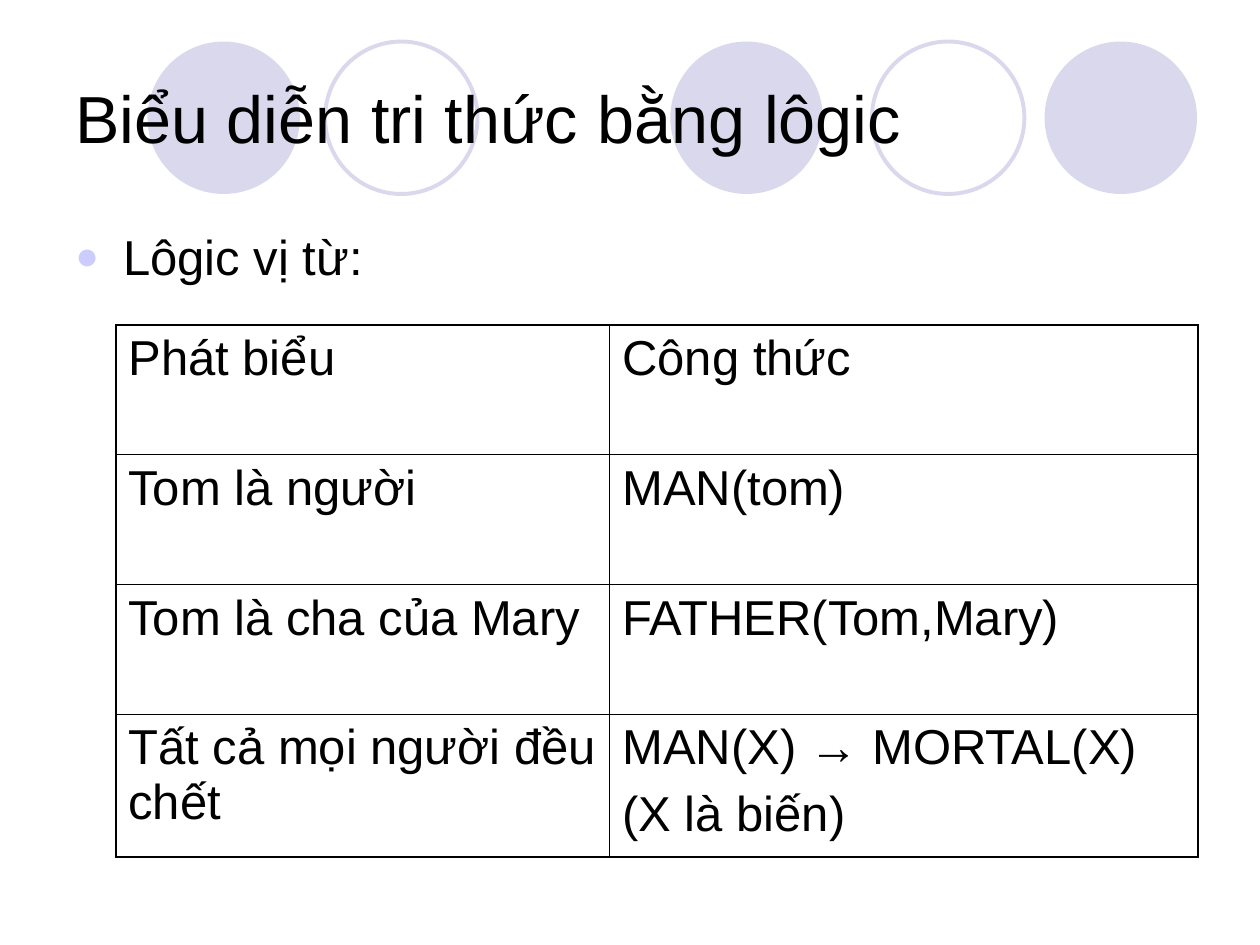
from dataclasses import dataclass

from lxml import etree
from pptx import Presentation
from pptx.dml.color import RGBColor
from pptx.enum import shapes, text
from pptx.oxml import ns
from pptx.util import Inches, Pt

COLORS = {"text": "000000", "circle": "D9D8EC", "bullet": "CCCCFF", "border": "000000"}
FONT = "Arial"
BODY_SIZE = 28
SPACE_BEFORE = 7
OUTER_BORDER, INNER_BORDER = 1.08, 0.45
COLUMN_WIDTHS = (3.92, 4.67)
ROW_HEIGHTS = (1.03, 1.03, 1.03, 1.13)
STATEMENTS = (
    ("Phát biểu", "Công thức"),
    ("Tom là người", "MAN(tom)"),
    ("Tom là cha của Mary", "FATHER(Tom,Mary)"),
    ("Tất cả mọi người đều chết", "MAN(X) → MORTAL(X)\n(X là biến)"),
)


@dataclass
class Circle:
    left: float
    filled: bool
    top: float = 0.33
    size: float = 1.21


CIRCLES = (
    Circle(5.32, True),
    Circle(8.29, True),
    Circle(1.17, True),
    Circle(6.92, False),
    Circle(2.58, False),
)


def color(name: str) -> RGBColor:
    return RGBColor.from_string(COLORS[name])


def style_paragraph(paragraph, size: float) -> None:
    paragraph.font.name = FONT
    paragraph.font.size = Pt(size)
    paragraph.font.color.rgb = color("text")


def add_circle(slide, circle: Circle) -> None:
    shape = slide.shapes.add_shape(
        shapes.MSO_SHAPE.OVAL, Inches(circle.left), Inches(circle.top),
        Inches(circle.size), Inches(circle.size))
    shape.shadow.inherit = False
    if circle.filled:
        shape.fill.solid()
        shape.fill.fore_color.rgb = color("circle")
        shape.line.fill.background()
    else:
        shape.fill.background()
        shape.line.color.rgb = color("circle")
        shape.line.width = Pt(2.25)


def add_text(slide, box: tuple, content: str, size: float, anchor):
    """Add a wrapped text box at (left, top, width, height) and return its paragraph."""
    frame = slide.shapes.add_textbox(*map(Inches, box)).text_frame
    frame.word_wrap = True
    frame.vertical_anchor = anchor
    paragraph = frame.paragraphs[0]
    paragraph.text = content
    style_paragraph(paragraph, size)
    return paragraph


def add_bullet(paragraph) -> None:
    properties = paragraph._p.get_or_add_pPr()
    properties.set("marL", str(Inches(0.38)))
    properties.set("indent", str(-Inches(0.38)))
    bullet_color = etree.SubElement(properties, ns.qn("a:buClr"))
    etree.SubElement(bullet_color, ns.qn("a:srgbClr"), val=COLORS["bullet"])
    etree.SubElement(properties, ns.qn("a:buSzPct"), val="80000")
    etree.SubElement(properties, ns.qn("a:buFont"), typeface=FONT)
    etree.SubElement(properties, ns.qn("a:buChar"), char="●")


def set_borders(cell, outer_sides: dict[str, bool]) -> None:
    """Draw the four borders, heavier on the sides that lie on the table's edge."""
    properties = cell._tc.get_or_add_tcPr()
    for index, (side, is_outer) in enumerate(outer_sides.items()):
        width = Pt(OUTER_BORDER if is_outer else INNER_BORDER)
        line = etree.Element(ns.qn(f"a:ln{side}"), w=str(width))
        fill = etree.SubElement(line, ns.qn("a:solidFill"))
        etree.SubElement(fill, ns.qn("a:srgbClr"), val=COLORS["border"])
        properties.insert(index, line)


def add_statement_table(slide) -> None:
    row_count, column_count = len(ROW_HEIGHTS), len(COLUMN_WIDTHS)
    table = slide.shapes.add_table(
        row_count, column_count, Inches(0.92), Inches(2.58),
        Inches(sum(COLUMN_WIDTHS)), Inches(sum(ROW_HEIGHTS))).table
    table.first_row = table.horz_banding = False
    for column, width in zip(table.columns, COLUMN_WIDTHS):
        column.width = Inches(width)
    for row, height in zip(table.rows, ROW_HEIGHTS):
        row.height = Inches(height)
    for r, statement in enumerate(STATEMENTS):
        for c, content in enumerate(statement):
            cell = table.cell(r, c)
            cell.fill.background()
            cell.text = content
            for paragraph in cell.text_frame.paragraphs:
                style_paragraph(paragraph, BODY_SIZE)
                paragraph.space_before = Pt(SPACE_BEFORE)
            set_borders(cell, {"L": c == 0, "R": c == column_count - 1,
                               "T": r == 0, "B": r == row_count - 1})


def main() -> None:
    presentation = Presentation()
    presentation.slide_width, presentation.slide_height = Inches(10), Inches(7.5)
    slide = presentation.slides.add_slide(presentation.slide_layouts[6])
    for circle in CIRCLES:
        add_circle(slide, circle)
    add_text(slide, (0.5, 0.3, 9, 1.25), "Biểu diễn tri thức\t bằng lôgic",
             38, text.MSO_ANCHOR.MIDDLE)
    topic = add_text(slide, (0.5, 1.75, 4.42, 4.95), "Lôgic vị từ:",
                     BODY_SIZE, text.MSO_ANCHOR.TOP)
    topic.space_before = Pt(SPACE_BEFORE)
    add_bullet(topic)
    add_statement_table(slide)
    presentation.save("out.pptx")


if __name__ == "__main__":
    main()
